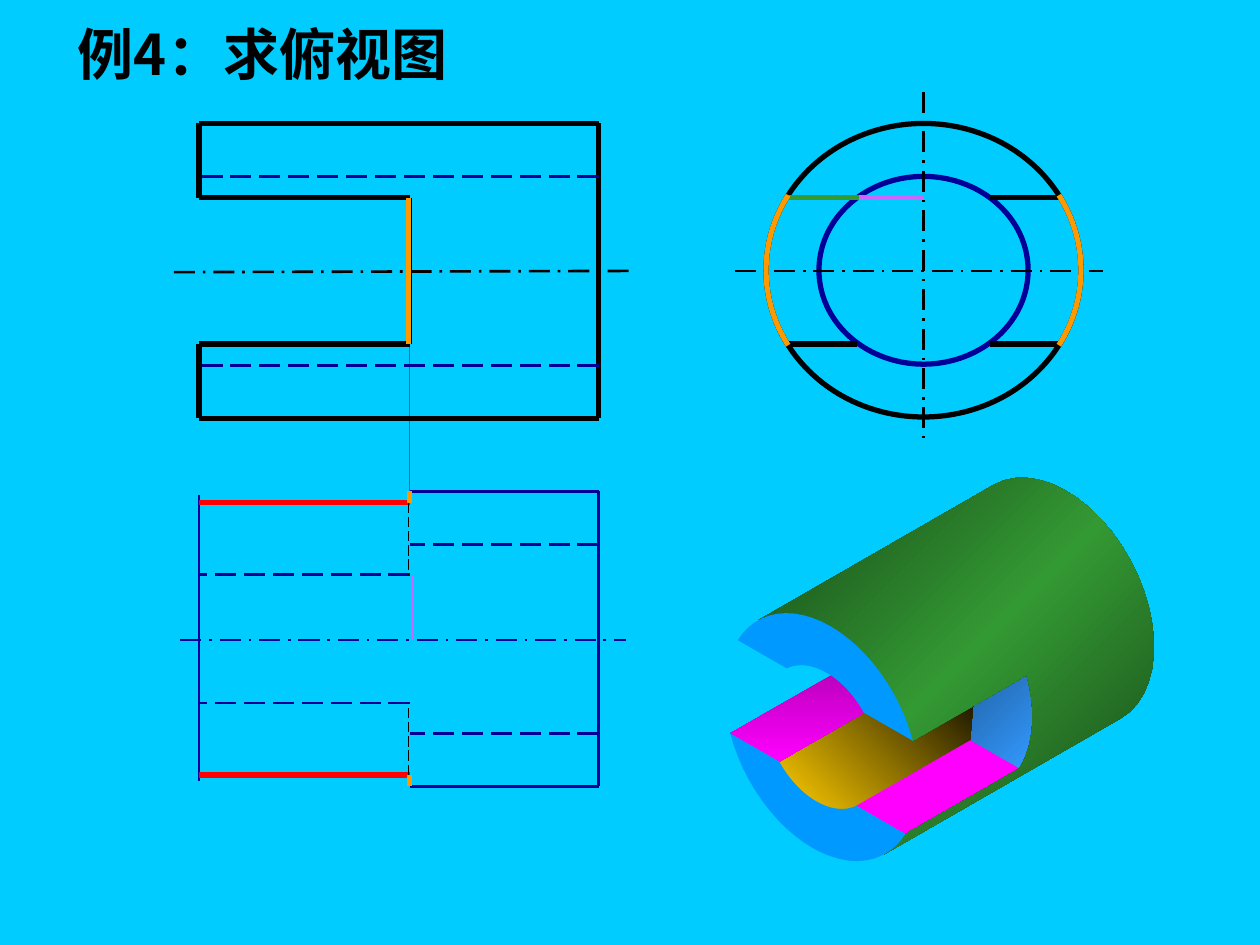
from copy import deepcopy
from math import asin, cos, degrees, radians, sin

from lxml import etree
from pptx import Presentation
from pptx.dml.color import RGBColor
from pptx.enum.dml import MSO_LINE
from pptx.enum.shapes import MSO_CONNECTOR, MSO_SHAPE
from pptx.oxml.ns import qn
from pptx.util import Pt

SCALE = 9144
STRAIGHT = MSO_CONNECTOR.STRAIGHT
ELLIPSE, ARC = MSO_SHAPE.OVAL, MSO_SHAPE.ARC
DASH, DASH_DOT = MSO_LINE.LONG_DASH, MSO_LINE.LONG_DASH_DOT
FONT = "Noto Sans CJK SC"

SKY = RGBColor(0x00, 0xCC, 0xFF)
BLACK = RGBColor(0x00, 0x00, 0x00)
NAVY = RGBColor(0x00, 0x00, 0x99)
PURPLE = RGBColor(0xCC, 0x00, 0xFF)
LILAC = RGBColor(0xCC, 0x66, 0xFF)
RED = RGBColor(0xFF, 0x00, 0x00)
ORANGE = RGBColor(0xFF, 0x99, 0x00)
GREEN = RGBColor(0x33, 0x99, 0x33)
DARK_GREEN = RGBColor(0x18, 0x47, 0x18)
MAGENTA = RGBColor(0xFF, 0x00, 0xFF)
DARK_MAGENTA = RGBColor(0xB9, 0x00, 0xB9)
AZURE = RGBColor(0x00, 0x99, 0xFF)
STEEL = RGBColor(0x1F, 0x5D, 0x9B)
LIGHT_BLUE = RGBColor(0x33, 0x99, 0xFF)
GOLD = RGBColor(0xFF, 0xCC, 0x00)
DARK_GOLD = RGBColor(0x19, 0x14, 0x00)

TUBE_LENGTH, TUBE_RADIUS, BORE_RADIUS = 317, 117, 75
SLOT_LENGTH, SLOT_HALF = 167, 58
SIDES = (-1, 1)


def px(length):
    """Turn a length in px into EMU."""
    return round(length * SCALE)


def style_line(line, colour, width, dash=None):
    """Set the colour, width and dash of a line."""
    line.color.rgb = colour
    line.width = Pt(width)
    if dash is not None:
        line.dash_style = dash


def line_drawer(page, left, top):
    """Return a function that draws lines relative to the given corner."""
    def draw(x1, y1, x2, y2, colour, width, dash=None):
        line = page.shapes.add_connector(
            STRAIGHT, px(left + x1), px(top + y1), px(left + x2), px(top + y2))
        etree.SubElement(line._element.spPr, qn("a:effectLst"))
        style_line(line.line, colour, width, dash)
    return draw


def add_curve(page, kind, left, top, width, height, colour, angles=()):
    """Draw an ellipse, or an arc between two angles in degrees."""
    curve = page.shapes.add_shape(kind, px(left), px(top), px(width), px(height))
    curve.shadow.inherit = False
    curve.fill.background()
    style_line(curve.line, colour, 3)
    for index, angle in enumerate(angles):
        curve.adjustments[index] = angle * 0.6


def add_face(page, points, colours, angle=0):
    """Draw a filled outline, with a clockwise gradient for several colours."""
    corners = [(px(x), px(y)) for x, y in points]
    builder = page.shapes.build_freeform(*corners[0])
    builder.add_line_segments(corners[1:])
    face = builder.convert_to_shape()
    face.shadow.inherit = False
    face.line.fill.background()
    if len(colours) == 1:
        face.fill.solid()
        face.fill.fore_color.rgb = colours[0]
        return
    face.fill.gradient()
    face.fill.gradient_angle = 360 - angle
    stop_list = face._element.spPr.find(".//" + qn("a:gsLst"))
    while len(stop_list) < len(colours):
        stop_list.append(deepcopy(stop_list[0]))
    for index, (stop, colour) in enumerate(zip(face.fill.gradient_stops, colours)):
        stop.position = index / (len(colours) - 1)
        stop.color.rgb = colour


def add_title(page, left, top, width, height):
    """Write the heading."""
    box = page.shapes.add_textbox(px(left), px(top), px(width), px(height))
    box.text_frame.word_wrap = True
    box.text_frame.text = "例4：求俯视图"
    span = box.text_frame.paragraphs[0].runs[0]
    span.font.size = Pt(32)
    span.font.bold = True
    span.font.color.rgb = BLACK
    span.font.name = FONT
    etree.SubElement(span.font._element, qn("a:ea"), typeface=FONT)


def add_top_view(page, left, top):
    """Draw the top view: each line off the axis has a mirror image."""
    draw = line_drawer(page, left, top)
    axis, slot, end = TUBE_RADIUS, SLOT_LENGTH, TUBE_LENGTH
    cut_edge, cut_bore = 108, 51
    draw(-15, axis + 1, end + 22, axis + 1, NAVY, 1.5, DASH_DOT)
    draw(slot, -axis, slot, 0, PURPLE, 1)
    draw(slot + 2, axis - cut_bore, slot + 2, axis, LILAC, 0.75)
    draw(0, 3, 0, 2 * axis - 4, NAVY, 1.5)
    draw(end, 0, end, 2 * axis, NAVY, 1.5)
    for side in SIDES:
        outer, bore = axis + side * TUBE_RADIUS, axis + side * BORE_RADIUS
        edge, hidden = axis + side * cut_edge, axis + side * cut_bore
        draw(slot, outer, end, outer, NAVY, 1.5)
        draw(end, bore, slot, bore, NAVY, 1.5, DASH)
        draw(slot, hidden, 0, hidden, NAVY, 1.5, DASH)
        draw(slot, edge, 0, edge, RED, 3)
        draw(slot - 1, edge, slot - 1, hidden, BLACK, 0.75, DASH)
        draw(slot, outer, slot, edge, ORANGE, 3)


def add_front_view(page, left, top):
    """Draw the front view with its slot end marked."""
    draw = line_drawer(page, left, top)
    axis, slot, end = TUBE_RADIUS, SLOT_LENGTH, TUBE_LENGTH
    draw(-20, axis + 1, end + 28, axis, BLACK, 1.5, DASH_DOT)
    draw(end, 0, end, 2 * axis, BLACK, 3)
    draw(slot, axis - SLOT_HALF, slot, axis + SLOT_HALF, BLACK, 3)
    for side in SIDES:
        outer, bore = axis + side * TUBE_RADIUS, axis + side * BORE_RADIUS
        edge = axis + side * SLOT_HALF
        draw(0, outer, end, outer, BLACK, 3)
        draw(slot, edge, 0, edge, BLACK, 3)
        draw(0, edge, 0, outer, BLACK, 3)
        draw(end, bore, 0, bore, NAVY, 1.5, DASH)
    draw(slot - 1, axis - SLOT_HALF, slot - 1, axis + SLOT_HALF, ORANGE, 3)


def add_side_view(page, left, top, width, height):
    """Draw the side view with its circles, slot edges and arcs."""
    draw = line_drawer(page, left, top)
    middle, axis, wall = width // 2, TUBE_RADIUS, 42
    edge_start, edge_end = 17, 72
    add_curve(page, ELLIPSE, left + wall, top + wall,
              width - 2 * wall, height - 2 * wall, NAVY)
    add_curve(page, ELLIPSE, left, top, width, height, BLACK)
    draw(-25, axis, width + 17, axis, BLACK, 1.5, DASH_DOT)
    draw(middle, -25, middle, height + 17, BLACK, 1.5, DASH_DOT)
    for side in SIDES:
        edge = axis + side * SLOT_HALF
        draw(edge_start, edge, edge_end, edge, BLACK, 3)
        draw(width - edge_end, edge, width - edge_start, edge, BLACK, 3)
    upper = axis - SLOT_HALF
    draw(edge_start, upper, edge_end + 2, upper, GREEN, 3)
    draw(edge_end + 2, upper, middle, upper, LILAC, 3)
    for angles in ((331, 29), (151, 209)):
        add_curve(page, ARC, left, top, width, height, ORANGE, angles)


def add_solid(page, left, top):
    """Project the slotted tube and paint its faces from back to front."""
    outer, inner, slot_half = 88, 51, 37
    slot, length = 104, 215
    silhouette = -44
    rim = degrees(asin(slot_half / outer))
    lip = degrees(asin(slot_half / inner))

    def at(radius, angle, depth=0):
        across = radius * cos(radians(angle))
        up = radius * sin(radians(angle))
        return (left + 73 + 0.87 * (across + depth) + 0.08 * up,
                top + 198 + 0.5 * (across - depth) - up)

    def arc(radius, start, end, depth=0, steps=24):
        return [at(radius, start + (end - start) * step / steps, depth)
                for step in range(steps + 1)]

    def ledge(outer_angle, inner_angle):
        return [at(outer, outer_angle), at(inner, inner_angle),
                at(inner, inner_angle, slot), at(outer, outer_angle, slot)]

    def end_face(turn):
        return (arc(outer, turn + rim, turn + 180 - rim)
                + arc(inner, turn + 180 - lip, turn + lip))

    slot_end = arc(outer, -rim, rim, slot) + [at(inner, lip, slot), at(inner, -lip, slot)]
    bore = arc(inner, 180 + lip, 360 - lip) + [
        at(inner, -lip, slot), at(inner * cos(radians(lip)), 0, slot), at(inner, lip)]
    outer_wall = (arc(outer, silhouette + 180, silhouette, length)
                  + arc(outer, silhouette, -rim)
                  + arc(outer, -rim, rim, slot)
                  + arc(outer, rim, silhouette + 180))

    add_face(page, slot_end, (STEEL, LIGHT_BLUE), 45)
    add_face(page, bore, (GOLD, DARK_GOLD), 315)
    add_face(page, ledge(-rim, -lip), (MAGENTA,))
    add_face(page, ledge(180 + rim, 180 + lip), (DARK_MAGENTA, MAGENTA), 90)
    add_face(page, outer_wall, (DARK_GREEN, GREEN, DARK_GREEN), 45)
    for turn in (0, 180):
        add_face(page, end_face(turn), (AZURE,))


def main():
    """Build and save the deck."""
    deck = Presentation()
    deck.slide_width, deck.slide_height = px(1000), px(750)
    page = deck.slides.add_slide(deck.slide_layouts[6])
    page.background.fill.solid()
    page.background.fill.fore_color.rgb = SKY
    add_top_view(page, 158, 390)
    add_front_view(page, 158, 98)
    add_side_view(page, 608, 98, 250, 233)
    add_title(page, 52, 11, 334, 64)
    add_solid(page, 579, 387)
    deck.save("out.pptx")


if __name__ == "__main__":
    main()
